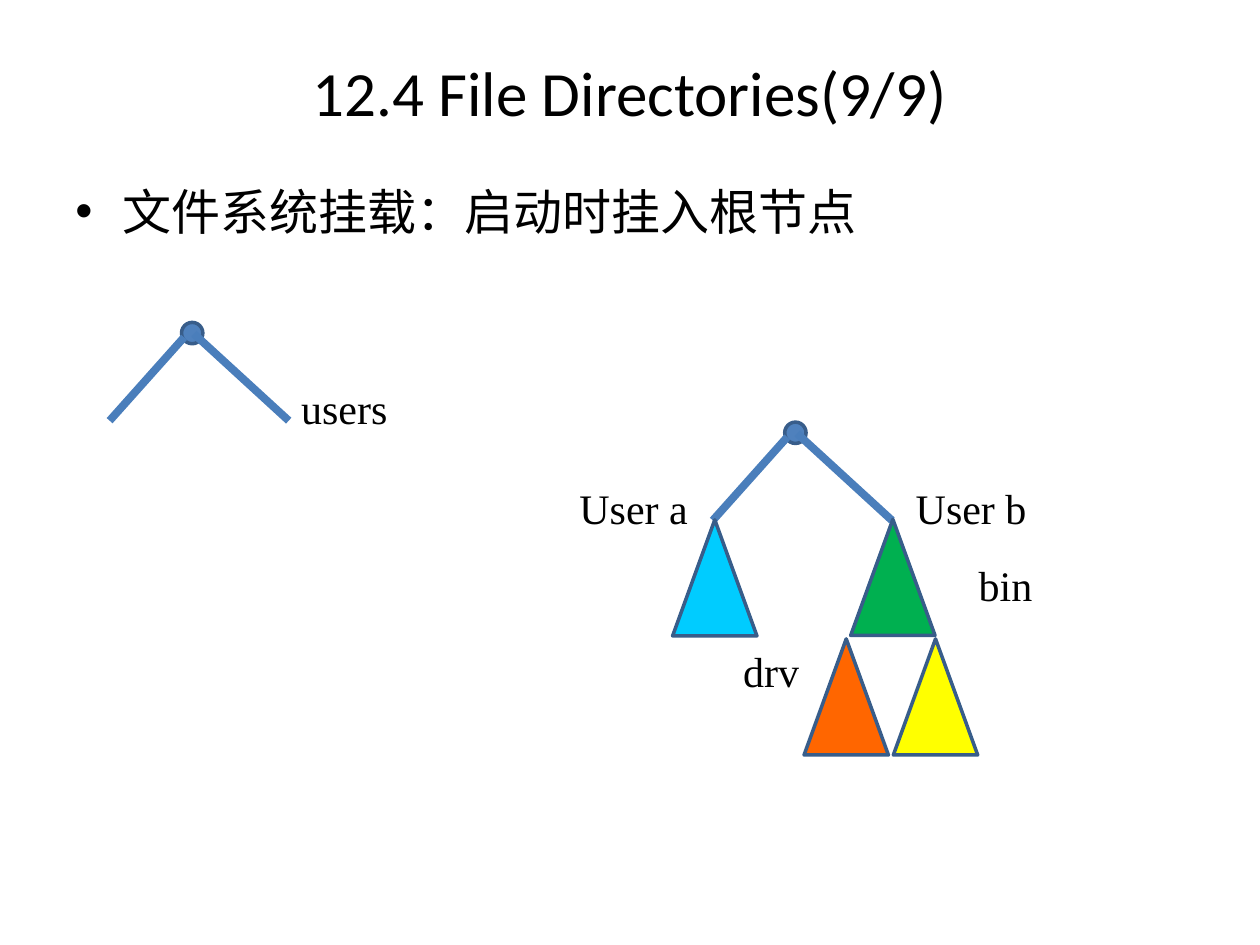
from lxml import etree
from pptx import Presentation
from pptx.dml.color import RGBColor
from pptx.enum import shapes, text
from pptx.oxml import ns
from pptx.util import Cm, Pt

BLACK = RGBColor(0x00, 0x00, 0x00)
NODE_FILL = RGBColor(0x4F, 0x81, 0xBD)
OUTLINE = RGBColor(0x38, 0x5D, 0x8A)
BRANCH = RGBColor(0x4A, 0x7E, 0xBB)
CYAN = RGBColor(0x00, 0xCC, 0xFF)
GREEN = RGBColor(0x00, 0xB0, 0x50)
ORANGE = RGBColor(0xFF, 0x66, 0x00)
YELLOW = RGBColor(0xFF, 0xFF, 0x00)

NODE_SIZE = 0.43
TREE_WIDTH, TREE_HEIGHT = 1.7, 2.34
BRANCHES = [((0.05, 0.3), (-1.45, 1.98)), ((2.16, 1.98), (0.25, 0.23))]
ROOTS = [(3.66, 6.5), (15.82, 8.51)]
SUBTREES = [
    (13.56, 10.48, CYAN),
    (17.15, 10.47, GREEN),
    (16.21, 12.88, ORANGE),
    (18.01, 12.88, YELLOW),
]
LABELS = [
    ("users", 5.82, 7.59),
    ("bin", 19.48, 11.15),
    ("User a", 11.43, 9.6),
    ("User b", 18.21, 9.6),
    ("drv", 14.73, 12.88),
]


def add_text(page, content, left, top, width, height, size=24,
             font="Times New Roman", align=text.PP_ALIGN.LEFT,
             anchor=text.MSO_ANCHOR.TOP, hanging=None):
    box = page.shapes.add_textbox(Cm(left), Cm(top), Cm(width), Cm(height))
    frame = box.text_frame
    frame.word_wrap = True
    frame.vertical_anchor = anchor
    para = frame.paragraphs[0]
    para.alignment = align
    if hanging:
        add_bullet(para, hanging)
    span = para.add_run()
    span.text = content
    span.font.name = font
    span.font.size = Pt(size)
    span.font.color.rgb = BLACK


def add_bullet(para, hanging):
    properties = para._p.get_or_add_pPr()
    properties.set("marL", str(Cm(hanging)))
    properties.set("indent", str(-Cm(hanging)))
    etree.SubElement(properties, ns.qn("a:buFont")).set("typeface", "Arial")
    etree.SubElement(properties, ns.qn("a:buChar")).set("char", "•")


def add_outlined(page, kind, left, top, width, height, fill):
    shape = page.shapes.add_shape(kind, Cm(left), Cm(top), Cm(width), Cm(height))
    shape.shadow.inherit = False
    shape.fill.solid()
    shape.fill.fore_color.rgb = fill
    shape.line.color.rgb = OUTLINE
    shape.line.width = Pt(2)


def add_branch(page, start, end):
    branch = page.shapes.add_connector(
        shapes.MSO_CONNECTOR.STRAIGHT, *(Cm(value) for value in start + end))
    branch.line.color.rgb = BRANCH
    branch.line.width = Pt(4.5)
    etree.SubElement(branch._element.spPr, ns.qn("a:effectLst"))


def add_root(page, left, top):
    add_outlined(page, shapes.MSO_SHAPE.OVAL, left, top, NODE_SIZE, NODE_SIZE, NODE_FILL)
    for start, end in BRANCHES:
        add_branch(page, (left + start[0], top + start[1]),
                   (left + end[0], top + end[1]))


def main():
    deck = Presentation()
    deck.slide_width, deck.slide_height = Cm(25.4), Cm(19.05)
    page = deck.slides.add_slide(deck.slide_layouts[6])

    add_text(page, "12.4 File Directories(9/9)", 0, 0.76, 25.4, 2.16, size=36,
             font="Calibri", align=text.PP_ALIGN.CENTER,
             anchor=text.MSO_ANCHOR.MIDDLE)
    add_text(page, "文件系统挂载：启动时挂入根节点", 1.27, 3.53, 22.86, 1.78,
             size=28, font="Calibri", hanging=0.95)
    for left, top in ROOTS:
        add_root(page, left, top)
    for left, top, fill in SUBTREES:
        add_outlined(page, shapes.MSO_SHAPE.ISOSCELES_TRIANGLE, left, top,
                     TREE_WIDTH, TREE_HEIGHT, fill)
    for content, left, top in LABELS:
        add_text(page, content, left, top, 2.97, 1.27)

    deck.save("out.pptx")


if __name__ == "__main__":
    main()
